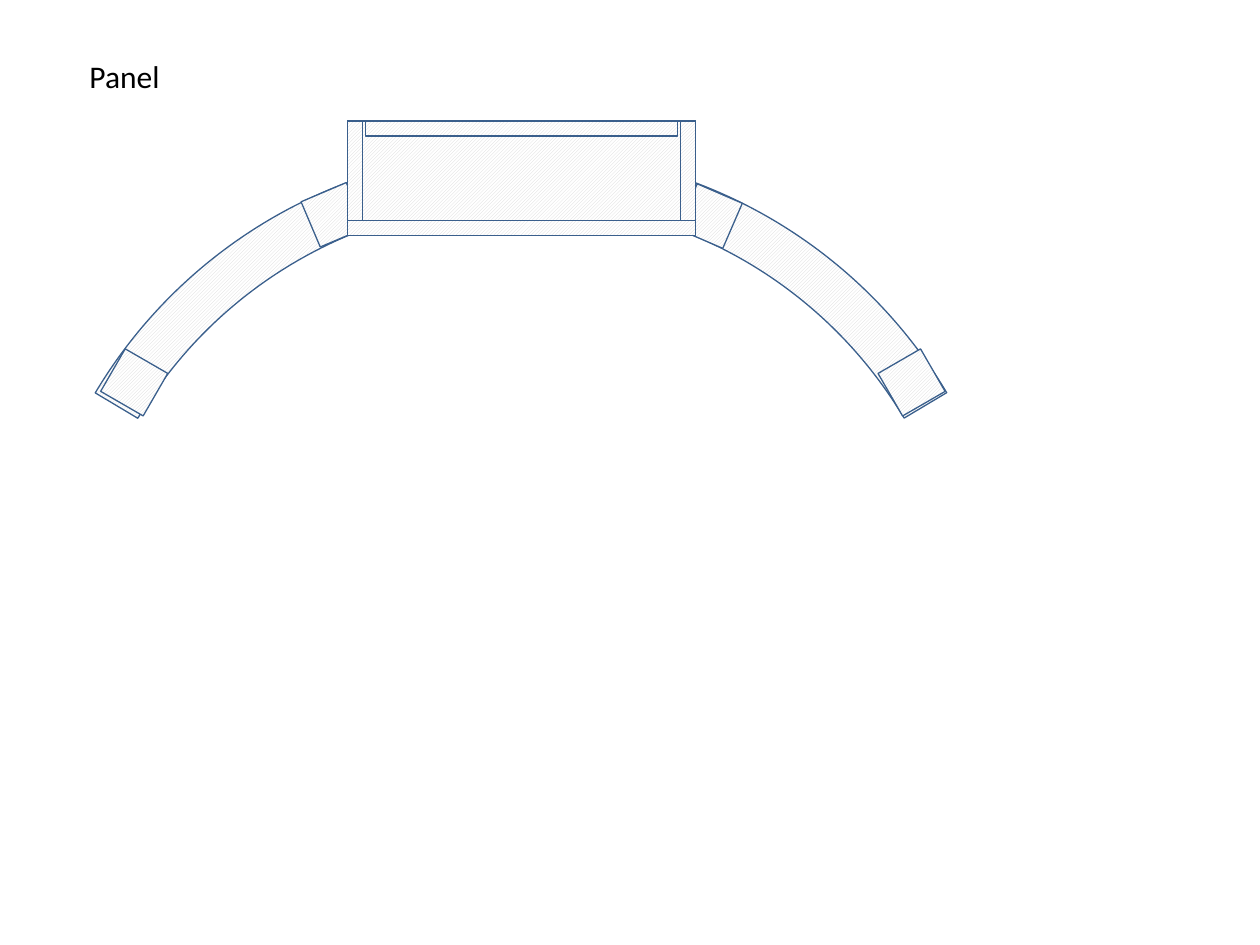
from pptx import Presentation
from pptx.dml.color import RGBColor
from pptx.enum.dml import MSO_PATTERN
from pptx.enum.shapes import MSO_SHAPE
from pptx.enum.text import MSO_ANCHOR, MSO_AUTO_SIZE, PP_ALIGN
from pptx.util import Inches, Pt

RECTANGLE = MSO_SHAPE.RECTANGLE
BLOCK_ARC = MSO_SHAPE.BLOCK_ARC
HATCH = MSO_PATTERN.LIGHT_UPWARD_DIAGONAL

BLACK = RGBColor(0x00, 0x00, 0x00)
WHITE = RGBColor(0xFF, 0xFF, 0xFF)
HATCH_GREY = RGBColor(0xD9, 0xD9, 0xD9)
OUTLINE_BLUE = RGBColor(0x3A, 0x5F, 0x8C)

TITLE = "Panel"
TITLE_BOX = (0.61, 0.4, 0.76, 0.4)
TITLE_FONT = {"name": "Calibri", "size": Pt(18), "bold": False}

# Arch ring: box, rotation, start and end angles in degrees, thickness ratio
ARCH_BOX = (0.2, 1.2, 7.87, 7.87)
ARCH_ROTATION = 30
ARCH_ANGLES = (180.82, 299.15)
ARCH_THICKNESS = 0.05
ADJUSTMENT_PER_DEGREE = 0.6

# Square blocks on the arch: left, top, rotation
BLOCK_SIZE = 0.39
BLOCKS = [
    (0.87, 2.84, 30),
    (7.04, 2.84, 330),
    (5.44, 1.52, 23.4),
    (2.45, 1.51, 337),
]

# Central panel and its frame boards
PANEL_LEFT, PANEL_TOP, PANEL_WIDTH, PANEL_HEIGHT = 2.76, 0.96, 2.76, 0.8
BOARD = 0.12
SIDE_HEIGHT = 0.79
TOP_BOARD_INSET = 0.14
PANEL_PARTS = [
    (PANEL_LEFT, PANEL_TOP, PANEL_WIDTH, PANEL_HEIGHT),
    (PANEL_LEFT, PANEL_TOP, BOARD, SIDE_HEIGHT),
    (PANEL_LEFT + PANEL_WIDTH - BOARD, PANEL_TOP, BOARD, SIDE_HEIGHT),
    (PANEL_LEFT + TOP_BOARD_INSET, PANEL_TOP,
     PANEL_WIDTH - 2 * TOP_BOARD_INSET, BOARD),
    (PANEL_LEFT, PANEL_TOP + SIDE_HEIGHT, PANEL_WIDTH, BOARD),
]


def add_title(slide):
    title = slide.shapes.title
    title.left, title.top, title.width, title.height = map(Inches, TITLE_BOX)
    frame = title.text_frame
    frame.text = TITLE
    frame.word_wrap = False
    frame.auto_size = MSO_AUTO_SIZE.SHAPE_TO_FIT_TEXT
    frame.vertical_anchor = MSO_ANCHOR.TOP
    paragraph = frame.paragraphs[0]
    paragraph.alignment = PP_ALIGN.LEFT
    font = paragraph.runs[0].font
    for attribute, value in TITLE_FONT.items():
        setattr(font, attribute, value)
    font.color.rgb = BLACK


def add_hatched(slide, kind, box, rotation=0):
    shape = slide.shapes.add_shape(kind, *map(Inches, box))
    shape.rotation = rotation
    shape.shadow.inherit = False
    shape.fill.patterned()
    shape.fill.pattern = HATCH
    shape.fill.fore_color.rgb = HATCH_GREY
    shape.fill.back_color.rgb = WHITE
    shape.line.color.rgb = OUTLINE_BLUE
    shape.line.width = Pt(0.75)
    return shape


def main():
    presentation = Presentation()
    presentation.slide_width = Inches(10)
    presentation.slide_height = Inches(7.5)
    slide = presentation.slides.add_slide(presentation.slide_layouts[5])
    add_title(slide)

    arch = add_hatched(slide, BLOCK_ARC, ARCH_BOX, ARCH_ROTATION)
    for index, angle in enumerate(ARCH_ANGLES):
        arch.adjustments[index] = angle * ADJUSTMENT_PER_DEGREE
    arch.adjustments[2] = ARCH_THICKNESS

    for left, top, rotation in BLOCKS:
        box = (left, top, BLOCK_SIZE, BLOCK_SIZE)
        add_hatched(slide, RECTANGLE, box, rotation)
    for box in PANEL_PARTS:
        add_hatched(slide, RECTANGLE, box)

    presentation.save("out.pptx")


if __name__ == "__main__":
    main()
